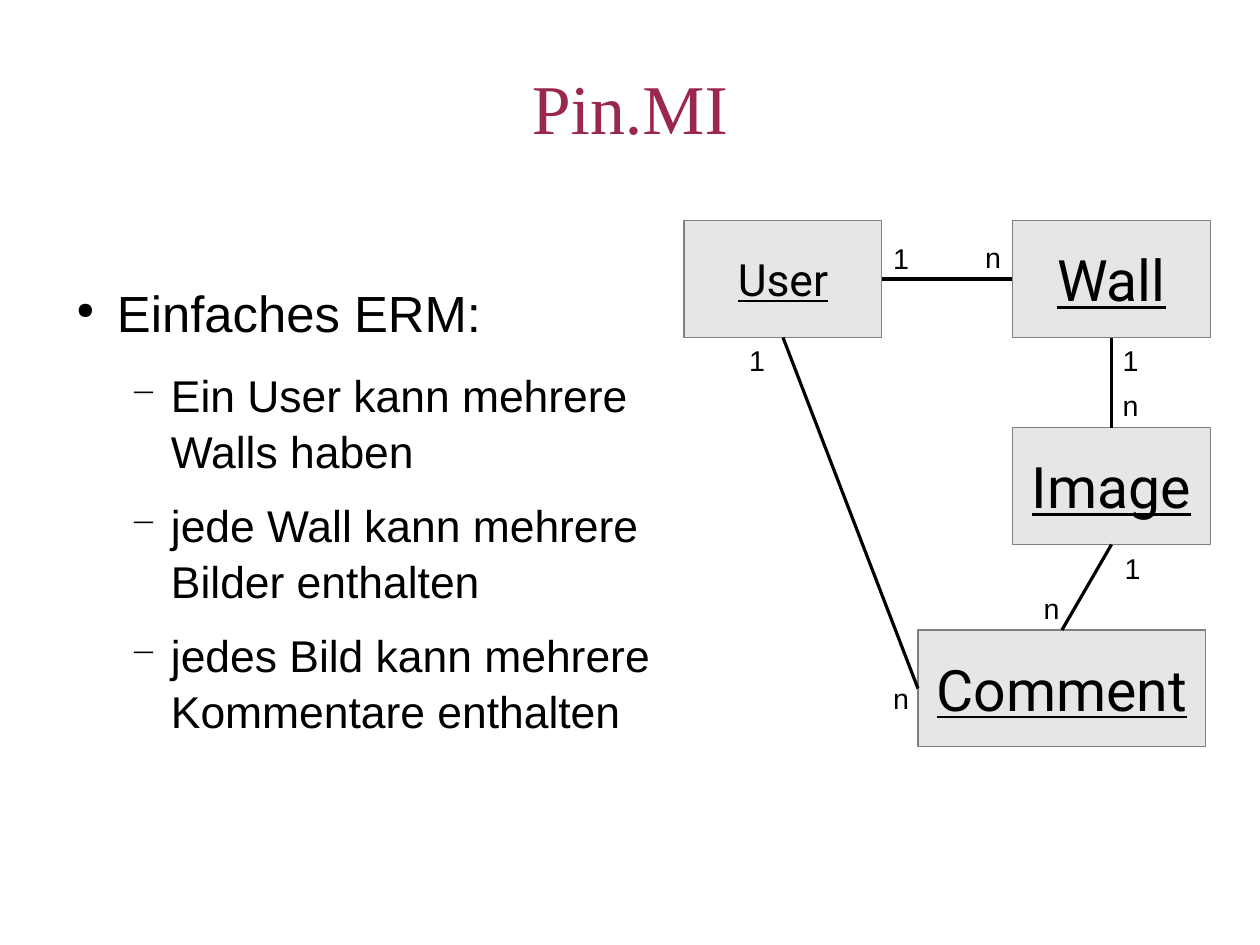
from dataclasses import dataclass

import lxml.etree
import pptx
import pptx.dml.color
import pptx.enum.shapes
import pptx.enum.text
import pptx.oxml.ns
import pptx.util

COLUMNS, ROWS = 28, 21  # one grid cell is one centimetre
TOP, LEFT, BOTTOM, RIGHT = range(4)


@dataclass(frozen=True)
class Theme:
    title_color: str = "99284C"
    text_color: str = "000000"
    box_fill: str = "E6E6E6"
    box_line: str = "808080"
    title_font: str = "Times New Roman"
    body_font: str = "Arial"
    box_font: str = "Roboto"
    title_size: int = 44
    large: int = 36
    heading: int = 32
    medium: int = 28
    small: int = 18


@dataclass(frozen=True)
class Entity:
    name: str
    column: float
    row: float
    width: float = 4.4
    size: int = Theme.large
    height: float = 2.6


@dataclass(frozen=True)
class Relation:
    start: str
    start_side: int
    end: str
    end_side: int


@dataclass(frozen=True)
class Cardinality:
    text: str
    column: float
    row: float


@dataclass(frozen=True)
class Level:
    bullet: str
    bullet_percent: int
    indent: float
    size: int
    space_after: float


THEME = Theme()
HEADING = Level("●", 45, 1.2, THEME.heading, 14.2)
DETAIL = Level("−", 75, 2.4, THEME.medium, 11.3)
HANGING = 0.9

BULLETS = [
    (HEADING, ["Einfaches ERM:"]),
    (DETAIL, ["Ein User kann mehrere", "Walls haben"]),
    (DETAIL, ["jede Wall kann mehrere", "Bilder enthalten"]),
    (DETAIL, ["jedes Bild kann mehrere", "Kommentare enthalten"]),
]
ENTITIES = [
    Entity("User", 15.2, 4.9, size=THEME.medium),
    Entity("Wall", 22.5, 4.9),
    Entity("Image", 22.5, 9.5),
    Entity("Comment", 20.4, 14, width=6.4),
]
RELATIONS = [
    Relation("User", RIGHT, "Wall", LEFT),
    Relation("User", BOTTOM, "Comment", LEFT),
    Relation("Wall", BOTTOM, "Image", TOP),
    Relation("Comment", TOP, "Image", BOTTOM),
]
CARDINALITIES = [
    Cardinality("1", 16.4, 7.5),
    Cardinality("n", 21.64, 5.2),
    Cardinality("1", 19.6, 5.23),
    Cardinality("1", 24.74, 12.12),
    Cardinality("1", 24.7, 7.5),
    Cardinality("n", 24.7, 8.5),
    Cardinality("n", 22.94, 13),
    Cardinality("n", 19.6, 15),
]


def grid(*cells: float) -> list[pptx.util.Length]:
    return [pptx.util.Cm(cell) for cell in cells]


def rgb(color: str) -> pptx.dml.color.RGBColor:
    return pptx.dml.color.RGBColor.from_string(color)


def add_run(paragraph, text: str, font: str, size: int,
            color: str = THEME.text_color, underline: bool = False) -> None:
    run = paragraph.add_run()
    run.text = text
    run.font.name = font
    run.font.size = pptx.util.Pt(size)
    run.font.color.rgb = rgb(color)
    if underline:
        run.font.underline = True


def clear_margins(frame) -> None:
    frame.margin_left = frame.margin_top = frame.margin_right = frame.margin_bottom = 0


def add_title(slide, text: str) -> None:
    title = slide.shapes.title
    title.left, title.top, title.width, title.height = grid(1.4, 0.84, 25.2, 3.5)
    frame = title.text_frame
    clear_margins(frame)
    frame.auto_size = pptx.enum.text.MSO_AUTO_SIZE.NONE
    frame.vertical_anchor = pptx.enum.text.MSO_ANCHOR.MIDDLE
    paragraph = frame.paragraphs[0]
    paragraph.alignment = pptx.enum.text.PP_ALIGN.CENTER
    paragraph.line_spacing = 0.7
    add_run(paragraph, text, THEME.title_font, THEME.title_size, THEME.title_color)


def set_bullet(paragraph, level: Level) -> None:
    properties = paragraph._p.get_or_add_pPr()
    properties.set("marL", str(pptx.util.Cm(level.indent)))
    properties.set("indent", str(-pptx.util.Cm(HANGING)))
    qualify = pptx.oxml.ns.qn
    color = lxml.etree.SubElement(properties, qualify("a:buClr"))
    lxml.etree.SubElement(color, qualify("a:srgbClr"), val=THEME.text_color)
    lxml.etree.SubElement(properties, qualify("a:buSzPct"), val=str(level.bullet_percent * 1000))
    lxml.etree.SubElement(properties, qualify("a:buChar"), char=level.bullet)


def add_bullets(slide) -> None:
    frame = slide.shapes.add_textbox(*grid(1.4, 6.2, 24.64, 10.9)).text_frame
    frame.word_wrap = True
    clear_margins(frame)
    for index, (level, lines) in enumerate(BULLETS):
        paragraph = frame.add_paragraph() if index else frame.paragraphs[0]
        paragraph.line_spacing = 1.05
        paragraph.space_after = pptx.util.Pt(level.space_after)
        set_bullet(paragraph, level)
        for number, line in enumerate(lines):
            if number:
                paragraph.add_line_break()
            add_run(paragraph, line, THEME.body_font, level.size)


def add_entity(slide, entity: Entity):
    shape = slide.shapes.add_shape(
        pptx.enum.shapes.MSO_SHAPE.RECTANGLE,
        *grid(entity.column, entity.row, entity.width, entity.height))
    shape.shadow.inherit = False
    shape.fill.solid()
    shape.fill.fore_color.rgb = rgb(THEME.box_fill)
    shape.line.color.rgb = rgb(THEME.box_line)
    shape.line.width = 0
    frame = shape.text_frame
    frame.word_wrap = False
    frame.vertical_anchor = pptx.enum.text.MSO_ANCHOR.MIDDLE
    paragraph = frame.paragraphs[0]
    paragraph.alignment = pptx.enum.text.PP_ALIGN.CENTER
    add_run(paragraph, entity.name, THEME.box_font, entity.size, underline=True)
    return shape


def add_relation(slide, relation: Relation, boxes: dict) -> None:
    connector = slide.shapes.add_connector(
        pptx.enum.shapes.MSO_CONNECTOR.STRAIGHT, 0, 0, 0, 0)
    connector.begin_connect(boxes[relation.start], relation.start_side)
    connector.end_connect(boxes[relation.end], relation.end_side)
    connector.line.color.rgb = rgb(THEME.text_color)
    connector.line.width = 0
    lxml.etree.SubElement(connector._element.spPr, pptx.oxml.ns.qn("a:effectLst"))


def add_cardinality(slide, label: Cardinality) -> None:
    frame = slide.shapes.add_textbox(*grid(label.column, label.row, 0.88, 1.12)).text_frame
    frame.word_wrap = False
    add_run(frame.paragraphs[0], label.text, THEME.body_font, THEME.small)


def main() -> None:
    presentation = pptx.Presentation()
    presentation.slide_width, presentation.slide_height = grid(COLUMNS, ROWS)
    slide = presentation.slides.add_slide(presentation.slide_layouts.get_by_name("Title Only"))

    # Title and bullet list
    add_title(slide, "Pin.MI")
    add_bullets(slide)

    # Entity relationship diagram
    boxes = {entity.name: add_entity(slide, entity) for entity in ENTITIES}
    for relation in RELATIONS:
        add_relation(slide, relation, boxes)
    for label in CARDINALITIES:
        add_cardinality(slide, label)

    presentation.save("out.pptx")


if __name__ == "__main__":
    main()
